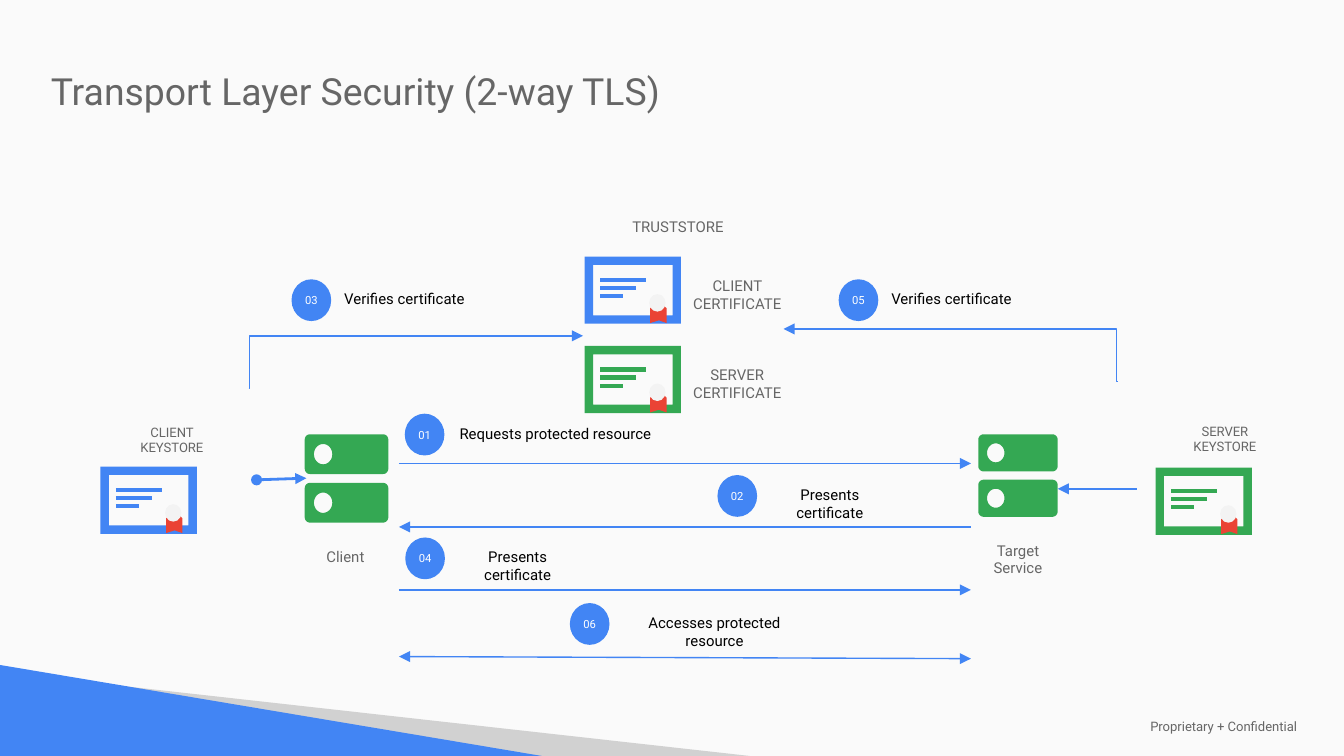
from math import cos, pi, sin

from lxml.etree import SubElement
from pptx import Presentation
from pptx.dml.color import RGBColor
from pptx.enum.shapes import MSO_CONNECTOR as LINK, MSO_SHAPE as SHAPE
from pptx.enum.text import MSO_ANCHOR as ANCHOR, MSO_AUTO_SIZE as FIT, PP_ALIGN as ALIGN
from pptx.oxml.ns import qn
from pptx.util import Cm, Pt

COLORS = {
    "page": "FAFAFA", "blue": "4285F4", "green": "34A853", "red": "EA4335",
    "seal": "F3F3F3", "wedge": "D1D1D1", "gray": "666666", "black": "000000",
    "white": "FFFFFF",
}


def rgb(name):
    """Look up a palette colour."""
    return RGBColor.from_string(COLORS[name])


def paint(shape, color):
    """Fill a shape flat, with no outline or shadow."""
    shape.shadow.inherit = False
    shape.fill.solid()
    shape.fill.fore_color.rgb = rgb(color)
    shape.line.fill.background()


def write(frame, text, size, color, align=ALIGN.CENTER, anchor=ANCHOR.TOP, inset=0.2):
    """Set one run of text in a frame."""
    frame.word_wrap = True
    frame.auto_size = FIT.NONE
    frame.vertical_anchor = anchor
    frame.margin_left = frame.margin_right = Cm(inset)
    frame.margin_top = frame.margin_bottom = Cm(inset)
    paragraph = frame.paragraphs[0]
    paragraph.alignment = align
    run = paragraph.add_run()
    run.text = text
    run.font.name = "Roboto"
    run.font.size = Pt(size)
    run.font.color.rgb = rgb(color)


def label(shapes, box, text, size=8, color="gray", **layout):
    """Add a text box."""
    caption = shapes.add_textbox(*map(Cm, box))
    write(caption.text_frame, text, size, color, **layout)


def outline(shapes, contours, color):
    """Draw closed contours as one filled freeform."""
    builder = None
    for contour in contours:
        start, *rest = [(Cm(x), Cm(y)) for x, y in contour]
        if builder is None:
            builder = shapes.build_freeform(*start)
        else:
            builder.move_to(*start)
        builder.add_line_segments(rest, close=True)
    paint(builder.convert_to_shape(), color)


def link(shapes, start, end, color="blue", weight=0.75, head=None, tail=None, bend=None):
    """Draw a straight line, or an elbow bending at the given share of its width."""
    kind = LINK.STRAIGHT if bend is None else LINK.ELBOW
    line = shapes.add_connector(kind, *map(Cm, (*start, *end)))
    line.line.color.rgb = rgb(color)
    line.line.width = Pt(weight)
    properties = line._element.spPr
    if bend is not None:
        guides = properties.find(qn("a:prstGeom")).get_or_add_avLst()
        SubElement(guides, qn("a:gd"), name="adj1", fmla=f"val {round(bend * 100000)}")
    for tag, arrow in (("a:headEnd", head), ("a:tailEnd", tail)):
        if arrow:
            SubElement(properties.find(qn("a:ln")), qn(tag), type=arrow)
    SubElement(properties, qn("a:effectLst"))


def certificate(slide, box, color):
    """Draw a framed certificate with a sealed ribbon and return its group's shapes."""
    left, top, width, height = box
    shapes = slide.shapes.add_group_shape().shapes

    def at(x, y):
        return left + x * width, top + y * height

    border = shapes.add_shape(SHAPE.FRAME, *map(Cm, box))
    border.adjustments[0] = 0.125
    paint(border, color)
    for row, length in enumerate((0.48, 0.37, 0.24)):
        y = 0.35 + 0.12 * row
        link(shapes, at(0.16, y), at(0.16 + length, y), color, 2.25)
    ribbon = [(0.71, 0.73), (0.82, 0.73), (0.85, 0.77), (0.85, 0.99),
              (0.77, 0.95), (0.68, 0.99), (0.68, 0.77)]
    outline(shapes, [[at(*point) for point in ribbon]], "red")
    seal = shapes.add_shape(SHAPE.OVAL, *map(Cm, at(0.67, 0.56)),
                            Cm(0.17 * width), Cm(0.26 * height))
    paint(seal, "seal")
    return shapes


def server(slide, box):
    """Draw two stacked rounded units, each with a round opening."""
    left, top, width, height = box
    unit, radius, steps = 0.45 * height, 0.1, 6
    contours = []
    for y in (top, top + height - unit):
        corners = [(left + width - radius, y + unit - radius), (left + radius, y + unit - radius),
                   (left + radius, y + radius), (left + width - radius, y + radius)]
        contours.append([
            (cx + radius * cos(angle), cy + radius * sin(angle))
            for quarter, (cx, cy) in enumerate(corners)
            for angle in [(quarter + step / steps) * pi / 2 for step in range(steps + 1)]
        ])
        contours.append([
            (left + width * (0.22 + 0.11 * cos(angle)), y + unit / 2 - height * 0.115 * sin(angle))
            for angle in [step * pi / 16 for step in range(32)]
        ])
    outline(slide.shapes, contours, "green")


def step(slide, box, number, text, gap=0.74):
    """Place a numbered badge at the box's corner and its wording beside it."""
    left, top, width, height = box
    badge = slide.shapes.add_shape(SHAPE.OVAL, Cm(left), Cm(top), Cm(0.75), Cm(0.79))
    paint(badge, "blue")
    write(badge.text_frame, number, 6, "white", anchor=ANCHOR.MIDDLE, inset=0)
    label(slide.shapes, (left + gap, top, width, height), text, color="black")


def backdrop(slide, width, height):
    """Set the page colour, corner wedges and footer."""
    slide.background.fill.solid()
    slide.background.fill.fore_color.rgb = rgb("page")
    outline(slide.shapes, [[(2.16, height - 1.34), (14.17, height), (10.19, height)]], "wedge")
    outline(slide.shapes, [[(0, height - 1.72), (0, height), (10.24, height)]], "blue")
    label(slide.shapes, (width - 3.91, height - 0.75, 3.78, 0.36), "Proprietary + Confidential",
          7, align=ALIGN.LEFT, anchor=ANCHOR.MIDDLE, inset=0.25)


def heading(slide, box, text):
    """Move and format the title placeholder."""
    title = slide.shapes.title
    title.left, title.top, title.width, title.height = map(Cm, box)
    write(title.text_frame, text, 20, "gray", align=ALIGN.LEFT)


def truststore(slide, box):
    """Stack the two trusted certificates under their heading."""
    left, top, width, height = box
    label(slide.shapes, (left + 0.48, top, 2.57, 0.76), "TRUSTSTORE")
    for row, (owner, color) in enumerate((("CLIENT", "blue"), ("SERVER", "green"))):
        y = top + 0.94 + 1.69 * row
        certificate(slide, (left, y, 1.82, 1.27), color)
        label(slide.shapes, (left + width - 2.11, y + 0.18, 2.11, 0.91), f"{owner} CERTIFICATE")


def keystore(slide, box, owner, color, shift):
    """Place a certificate under its keystore caption."""
    left, top, width, height = box
    shapes = certificate(slide, (left, top + height - 1.27, width, 1.27), color)
    label(shapes, (left + shift, top, 2.4, 0.91), f"{owner} KEYSTORE", 7)


def exchange(slide, left, right):
    """Draw the messages between the client and the target service."""
    shapes = slide.shapes
    link(shapes, (left, 8.76), (right, 8.76), tail="triangle")
    link(shapes, (right, 9.96), (left, 9.96), tail="triangle")
    link(shapes, (left, 11.15), (right, 11.15), tail="triangle")
    link(shapes, (left, 12.41), (right, 12.45), head="triangle", tail="triangle")
    step(slide, (7.65, 7.82, 4.22, 0.76), "01", "Requests protected resource")
    step(slide, (13.56, 8.98, 2.77, 0.76), "02", "Presents certificate")
    step(slide, (7.66, 10.16, 2.77, 0.76), "04", "Presents certificate")
    step(slide, (10.77, 11.4, 3.99, 0.76), "06", "Accesses protected resource")


def verification(slide, box, number, start, end):
    """Draw an elbow to the truststore with its step."""
    link(slide.shapes, start, end, tail="triangle", bend=0.002)
    step(slide, box, number, "Verifies certificate", gap=0.28)


def main():
    """Build and save the slide."""
    width, height = 25.4, 14.29
    deck = Presentation()
    deck.slide_width, deck.slide_height = Cm(width), Cm(height)
    slide = deck.slides.add_slide(deck.slide_layouts[5])
    backdrop(slide, width, height)
    heading(slide, (0.76, 1.09, 14.22, 1.7), "Transport Layer Security (2-way TLS)")
    truststore(slide, (11.05, 3.91, 3.94, 3.91))
    keystore(slide, (1.9, 7.82, 1.82, 2.27), "CLIENT", "blue", 0.15)
    keystore(slide, (21.84, 7.8, 1.82, 2.31), "SERVER", "green", 0.11)
    server(slide, (5.76, 8.21, 1.58, 1.67))
    label(slide.shapes, (5.69, 10.16, 1.68, 0.81), "Client")
    server(slide, (18.49, 8.21, 1.5, 1.56))
    label(slide.shapes, (18.44, 10.03, 1.6, 0.76), "Target Service")
    link(slide.shapes, (4.85, 9.07), (5.79, 9.04), weight=1.5, head="oval", tail="triangle")
    link(slide.shapes, (19.99, 9.24), (21.49, 9.24), head="triangle")
    verification(slide, (5.51, 5.28, 3.71, 0.76), "03", (4.7, 7.34), (11.02, 6.35))
    verification(slide, (15.85, 5.28, 3.71, 0.76), "05", (21.12, 7.21), (14.81, 6.22))
    exchange(slide, 7.54, 18.35)
    deck.save("out.pptx")


if __name__ == "__main__":
    main()
